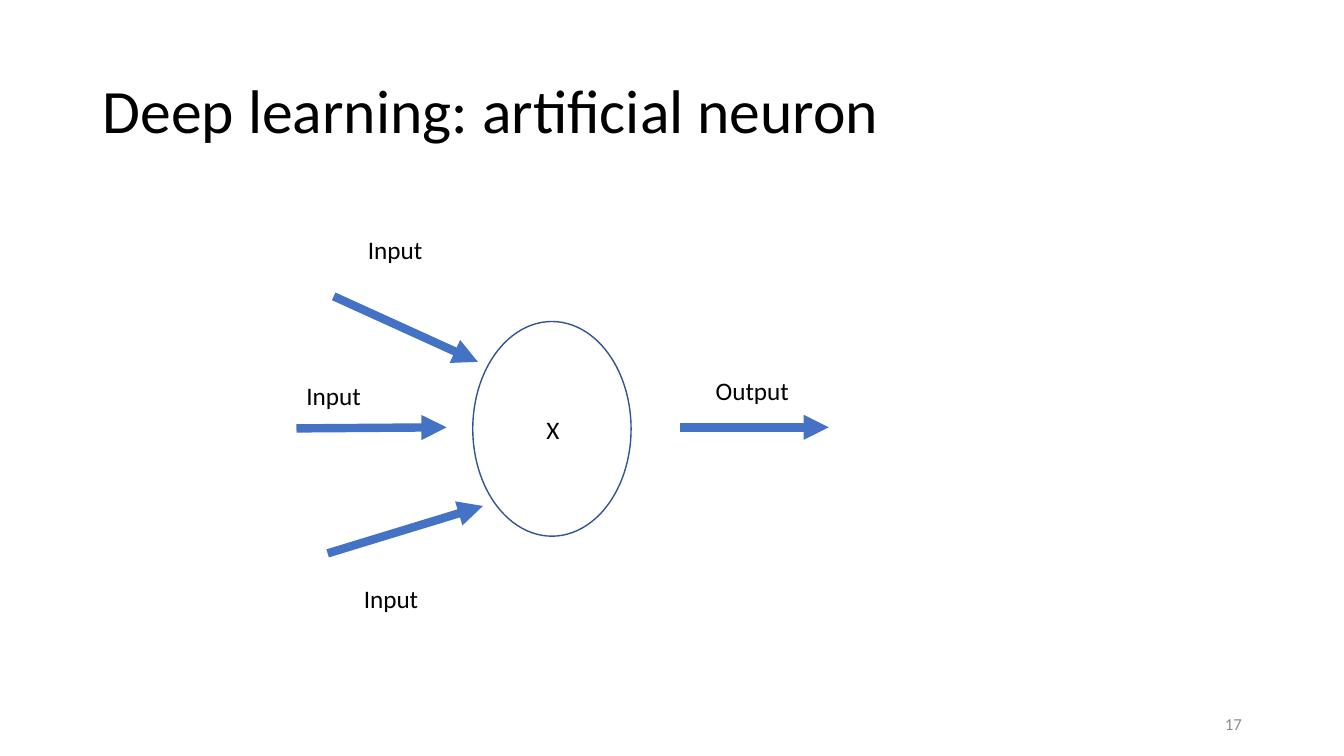
from pptx import Presentation, util as u
from pptx.dml.color import RGBColor
from pptx.enum import shapes, text
from pptx.oxml.ns import qn
from lxml import etree

# Content: places are percent of slide width and height
HUES = {"ink": "000000", "gray": "8C8C8C", "edge": "325491", "blue": "4472C4"}
FONT = "Calibri"
TITLE = ("Deep learning: artificial neuron", (6.9, 5.33, 86.25, 19.33))
NUMBER = ("17", (70.65, 93.07, 22.5, 5.33))
CELL = (35.18, 42.53, 11.78, 28.4)
ARROWS = [
    ((24.83, 39.2), (35.56, 47.87)),
    ((22.06, 56.67), (33.23, 56.53)),
    ((24.38, 73.2), (35.93, 66.93)),
    ((50.56, 56.53), (61.67, 56.53)),
]
ROW = 5.33
LABELS = [
    ("X", (39.91, 54.13, 2.48, ROW)),
    ("Input", (22.06, 49.6, 5.63, ROW)),
    ("Input", (26.63, 30.4, 5.63, ROW)),
    ("Input", (26.33, 76.53, 5.63, ROW)),
    ("Output", (52.51, 48.93, 7.05, ROW)),
]

deck = Presentation()
deck.slide_width, deck.slide_height = u.Inches(13.33), u.Inches(7.5)
slide = deck.slides.add_slide(deck.slide_layouts[5])
parts = slide.shapes


def place(spot):
    sides = (deck.slide_width, deck.slide_height) * (len(spot) // 2)
    return [round(side * part / 100) for side, part in zip(sides, spot)]


def color(name):
    return RGBColor.from_string(HUES[name])


def write(shape, words, size, hue="ink", align=text.PP_ALIGN.LEFT,
          anchor=text.MSO_ANCHOR.TOP, wrap=True):
    frame = shape.text_frame
    frame.text = words
    frame.word_wrap = wrap
    frame.vertical_anchor = anchor
    para = frame.paragraphs[0]
    para.alignment = align
    para.font.name, para.font.size = FONT, u.Pt(size)
    para.font.color.rgb = color(hue)
    return frame


# Title and slide number
words, spot = TITLE
head = parts.title
head.left, head.top, head.width, head.height = place(spot)
frame = write(head, words, 44, anchor=text.MSO_ANCHOR.MIDDLE)
frame.auto_size = text.MSO_AUTO_SIZE.NONE
frame.paragraphs[0].line_spacing = 0.9

words, spot = NUMBER
write(parts.add_textbox(*place(spot)), words, 12, "gray",
      text.PP_ALIGN.RIGHT, text.MSO_ANCHOR.MIDDLE)

# Neuron
cell = parts.add_shape(shapes.MSO_SHAPE.OVAL, *place(CELL))
cell.shadow.inherit = False
cell.fill.background()
cell.line.color.rgb = color("edge")
cell.line.width = u.Pt(1)

# Arrows
for start, end in ARROWS:
    arrow = parts.add_connector(shapes.MSO_CONNECTOR.STRAIGHT,
                                *place(start + end))
    arrow.line.color.rgb = color("blue")
    arrow.line.width = u.Pt(6)
    props = arrow.element.spPr
    etree.SubElement(props.find(qn("a:ln")), qn("a:tailEnd"), type="triangle")
    etree.SubElement(props, qn("a:effectLst"))

# Labels
for words, spot in LABELS:
    frame = write(parts.add_textbox(*place(spot)), words, 18, wrap=False)
    frame.auto_size = text.MSO_AUTO_SIZE.SHAPE_TO_FIT_TEXT

deck.save("out.pptx")
